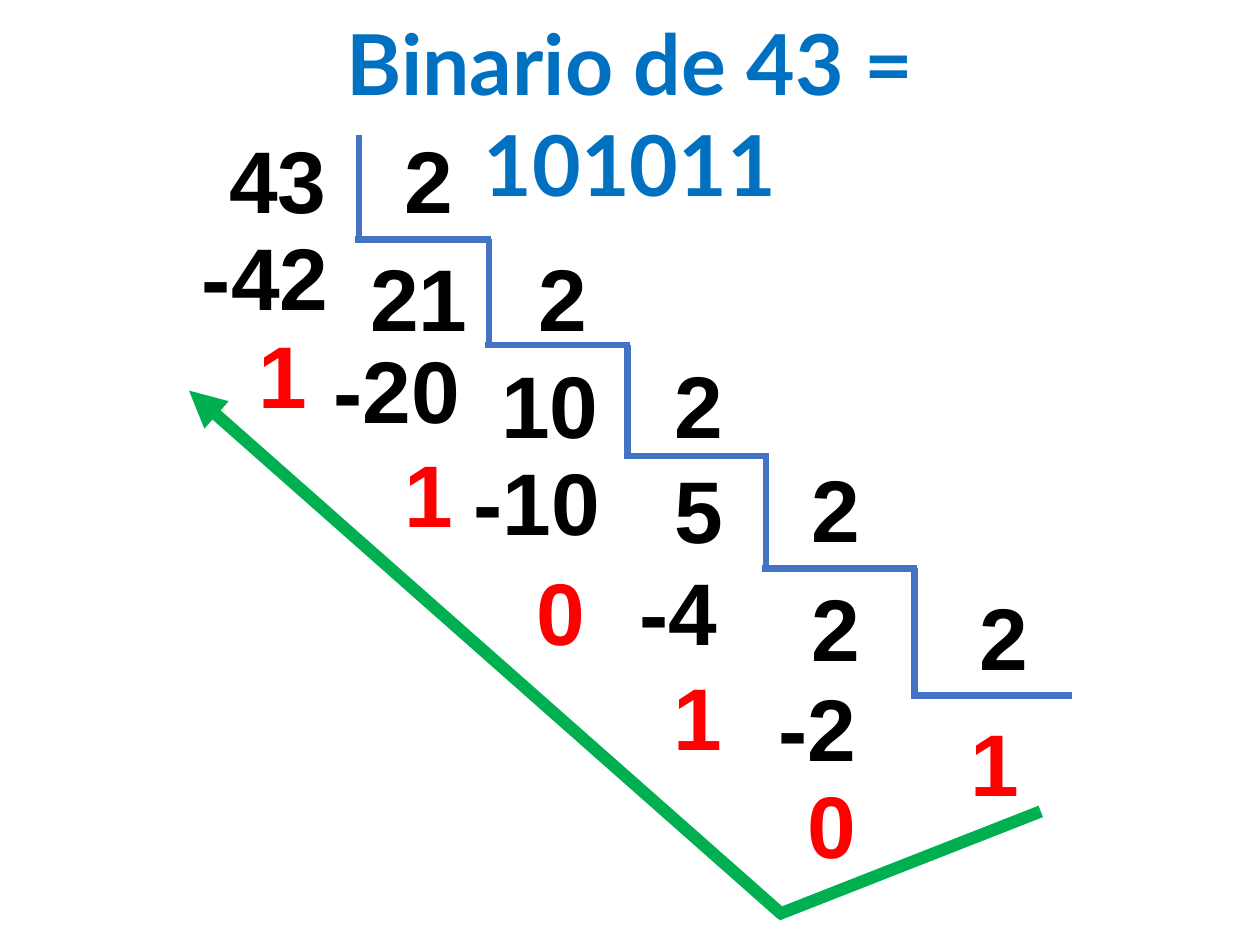
from dataclasses import dataclass

from lxml.etree import SubElement
from pptx import Presentation
from pptx.dml.color import RGBColor
from pptx.enum.shapes import MSO_CONNECTOR
from pptx.enum.text import MSO_AUTO_SIZE, PP_ALIGN
from pptx.oxml.ns import qn
from pptx.util import Pt

PX = 9144
BLUE = RGBColor(0x00, 0x70, 0xC0)
STEP_BLUE = RGBColor(0x44, 0x72, 0xC4)
GREEN = RGBColor(0x00, 0xB0, 0x50)
BLACK = RGBColor(0x00, 0x00, 0x00)
RED = RGBColor(0xFF, 0x00, 0x00)
NUMBER_H = 94


@dataclass(frozen=True)
class Label:
    text: str
    x: int
    y: int
    w: int = 59
    h: int = NUMBER_H
    color: RGBColor = BLACK
    size: int = 50
    font: str = "Arial"


@dataclass(frozen=True)
class Line:
    x1: int
    y1: int
    x2: int
    y2: int
    color: RGBColor = STEP_BLUE
    width: float = 3.75
    arrow: bool = False


TITLE = Label("Binario de 43 = 101011", 149, 4, 702, 91, BLUE, 48, "Lato")

DIVIDENDS = [
    Label("43", 160, 95, 121),
    Label("21", 283, 189, 99),
    Label("10", 380, 274, 113),
    Label("5", 525, 357),
    Label("2", 634, 451),
]
DIVISORS = [
    Label("2", x, y)
    for x, y in [(311, 95), (417, 189), (525, 274), (634, 356), (767, 458)]
]
PRODUCTS = [
    Label("-42", 150, 172, 121),
    Label("-20", 254, 262, 122),
    Label("-10", 363, 351, 126),
    Label("-4", 493, 438, 91),
    Label("-2", 603, 530, 91),
]
BITS = [
    Label(bit, x, y, color=RED)
    for bit, x, y in [
        ("1", 195, 250),
        ("1", 311, 344),
        ("0", 416, 438),
        ("1", 524, 521),
        ("0", 631, 607),
        ("1", 760, 558),
    ]
]

STEP_X = [285, 388, 498, 608, 726, 849]
STEP_Y = [107, 190, 274, 362, 451, 552]
READING_ORDER = [
    Line(826, 644, 617, 726, GREEN, 7),
    Line(621, 726, 150, 310, GREEN, 7, True),
]


def staircase(xs: list[int], ys: list[int]) -> list[Line]:
    lines = []
    for left, right, top, base in zip(xs, xs[1:], ys, ys[1:]):
        lines.append(Line(left, top, left, base))
        lines.append(Line(left - 3, base, right + 2, base))
    return lines


def draw_label(slide, label: Label) -> None:
    s = slide.shapes.add_textbox(
        label.x * PX, label.y * PX, label.w * PX, label.h * PX
    )
    tf = s.text_frame
    tf.word_wrap = True
    tf.auto_size = MSO_AUTO_SIZE.SHAPE_TO_FIT_TEXT
    tf.text = label.text
    p = tf.paragraphs[0]
    p.alignment = PP_ALIGN.CENTER
    font = p.runs[0].font
    font.name = label.font
    font.size = Pt(label.size)
    font.bold = True
    font.color.rgb = label.color


def draw_line(slide, line: Line) -> None:
    s = slide.shapes.add_connector(
        MSO_CONNECTOR.STRAIGHT,
        line.x1 * PX, line.y1 * PX, line.x2 * PX, line.y2 * PX,
    )
    s.line.color.rgb = line.color
    s.line.width = Pt(line.width)
    if line.arrow:
        SubElement(s.line._get_or_add_ln(), qn("a:tailEnd"), type="triangle")
    SubElement(s._element.spPr, qn("a:effectLst"))


def main() -> None:
    prs = Presentation()
    prs.slide_width = 1000 * PX
    prs.slide_height = 750 * PX
    slide = prs.slides.add_slide(prs.slide_layouts[6])
    for label in [TITLE, *DIVIDENDS, *DIVISORS, *PRODUCTS, *BITS]:
        draw_label(slide, label)
    for line in staircase(STEP_X, STEP_Y) + READING_ORDER:
        draw_line(slide, line)
    prs.save("out.pptx")


if __name__ == "__main__":
    main()
